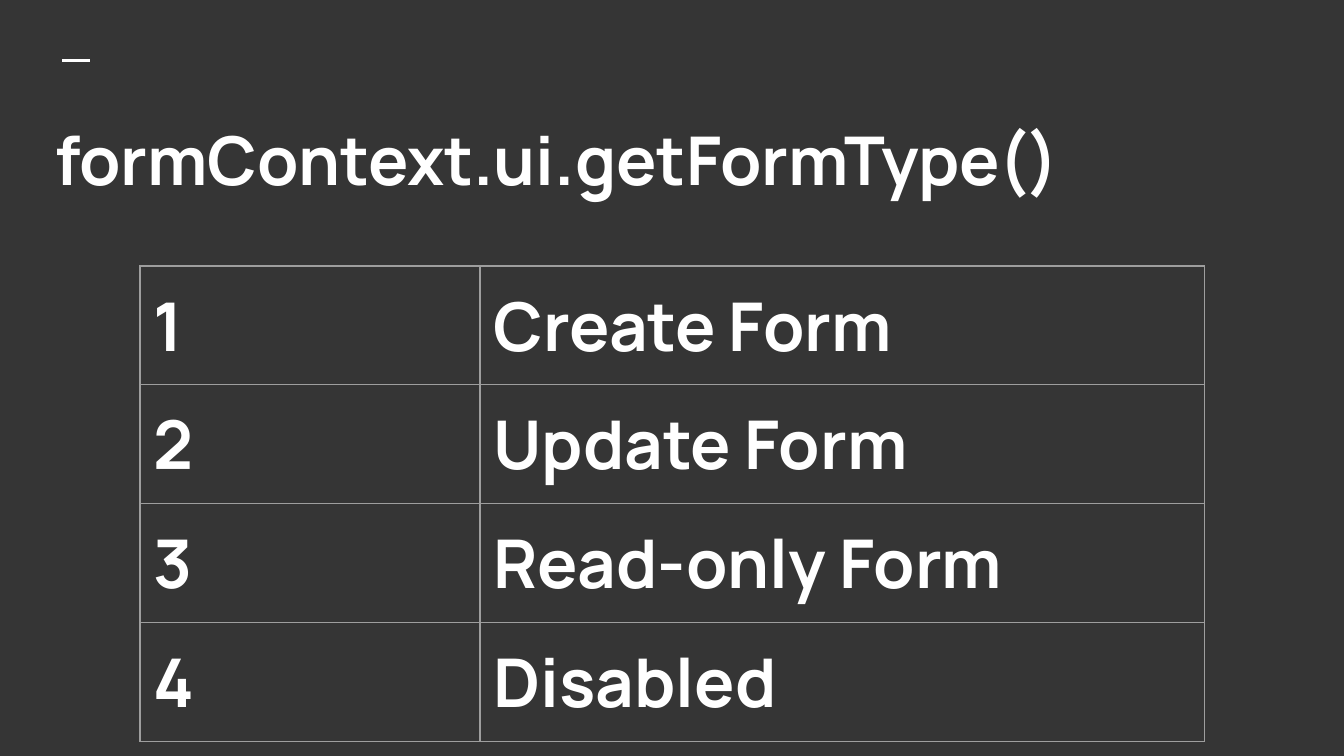
from lxml.etree import SubElement
from pptx import Presentation
from pptx.dml.color import RGBColor
from pptx.enum.shapes import MSO_CONNECTOR
from pptx.enum.text import MSO_ANCHOR, MSO_AUTO_SIZE, PP_ALIGN
from pptx.oxml.ns import qn
from pptx.util import Pt

TITLE = "formContext.ui.getFormType()"
FORM_TYPES = [
    ("1", "Create Form"),
    ("2", "Update Form"),
    ("3", "Read-only Form"),
    ("4", "Disabled"),
]
COLORS = {"background": "353535", "text": "FFFFFF", "border": "9E9E9E"}
FONT = {"name": "Manrope", "size": Pt(36), "bold": True}
INSET = Pt(7.2)
TITLE_BOX = {"left": Pt(22.3), "top": Pt(56.2), "width": Pt(679), "height": Pt(301.7)}
TABLE_LEFT, TABLE_TOP = Pt(75), Pt(142.5)
COLUMN_WIDTHS = [Pt(182.2), Pt(388)]
ROW_HEIGHT = Pt(63.6)
BORDER_WIDTH = Pt(0.75)


def set_attributes(target, values):
    for name, value in values.items():
        setattr(target, name, value)


def write_text(text_frame, text):
    text_frame.text = text
    paragraph = text_frame.paragraphs[0]
    paragraph.alignment = PP_ALIGN.LEFT
    font = paragraph.runs[0].font
    set_attributes(font, FONT)
    font.color.rgb = RGBColor.from_string(COLORS["text"])


def add_borders(cell):
    """Draw all four sides; borders must come before the fill in tcPr."""
    properties = cell._tc.get_or_add_tcPr()
    for side in ("a:lnL", "a:lnR", "a:lnT", "a:lnB"):
        line = SubElement(properties, qn(side), w=str(BORDER_WIDTH))
        fill = SubElement(line, qn("a:solidFill"))
        SubElement(fill, qn("a:srgbClr"), val=COLORS["border"])


def add_accent_line(slide):
    line = slide.shapes.add_connector(
        MSO_CONNECTOR.STRAIGHT, Pt(33.5), Pt(32.5), Pt(48), Pt(32.5))
    line.line.width = Pt(1.5)
    line.line.color.rgb = RGBColor.from_string(COLORS["text"])
    SubElement(line._element.spPr, qn("a:effectLst"))


def add_title(slide):
    title = slide.shapes.title
    set_attributes(title, TITLE_BOX)
    write_text(title.text_frame, TITLE)
    set_attributes(title.text_frame, {
        "margin_left": INSET, "margin_right": INSET,
        "margin_top": INSET, "margin_bottom": INSET,
        "vertical_anchor": MSO_ANCHOR.TOP,
        "auto_size": MSO_AUTO_SIZE.NONE, "word_wrap": True,
    })


def add_form_type_table(slide):
    table = slide.shapes.add_table(
        len(FORM_TYPES), len(COLUMN_WIDTHS), TABLE_LEFT, TABLE_TOP,
        sum(COLUMN_WIDTHS), ROW_HEIGHT * len(FORM_TYPES)).table
    set_attributes(table, {"first_row": False, "horz_banding": False})
    for column, width in zip(table.columns, COLUMN_WIDTHS):
        column.width = width
    for row, values in zip(table.rows, FORM_TYPES):
        row.height = ROW_HEIGHT
        for cell, value in zip(row.cells, values):
            write_text(cell.text_frame, value)
            set_attributes(cell, {
                "margin_left": INSET, "margin_right": INSET,
                "margin_top": INSET, "margin_bottom": INSET,
                "vertical_anchor": MSO_ANCHOR.TOP,
            })
            add_borders(cell)
            cell.fill.background()


def main():
    presentation = Presentation()
    presentation.slide_width, presentation.slide_height = Pt(720), Pt(405)
    slide = presentation.slides.add_slide(presentation.slide_layouts[5])
    background = slide.background.fill
    background.solid()
    background.fore_color.rgb = RGBColor.from_string(COLORS["background"])
    add_accent_line(slide)
    add_title(slide)
    add_form_type_table(slide)
    presentation.save("out.pptx")


if __name__ == "__main__":
    main()
